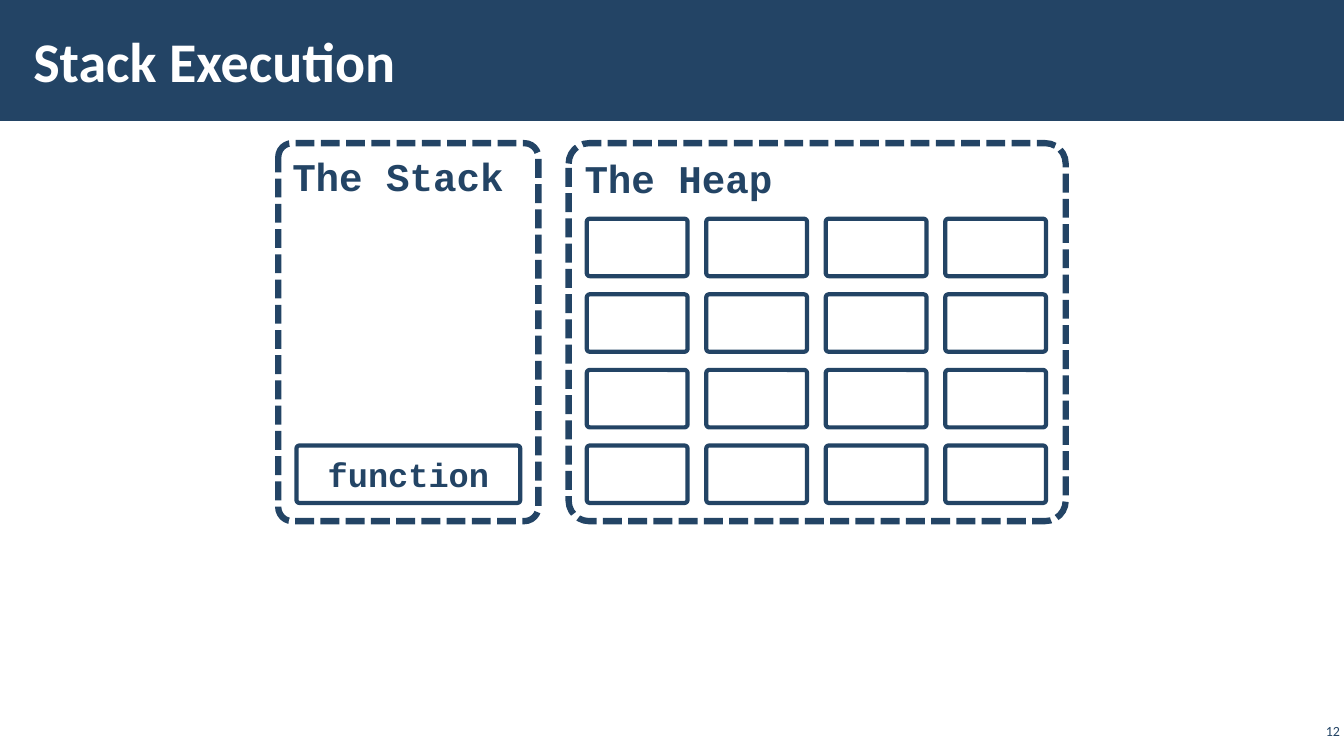
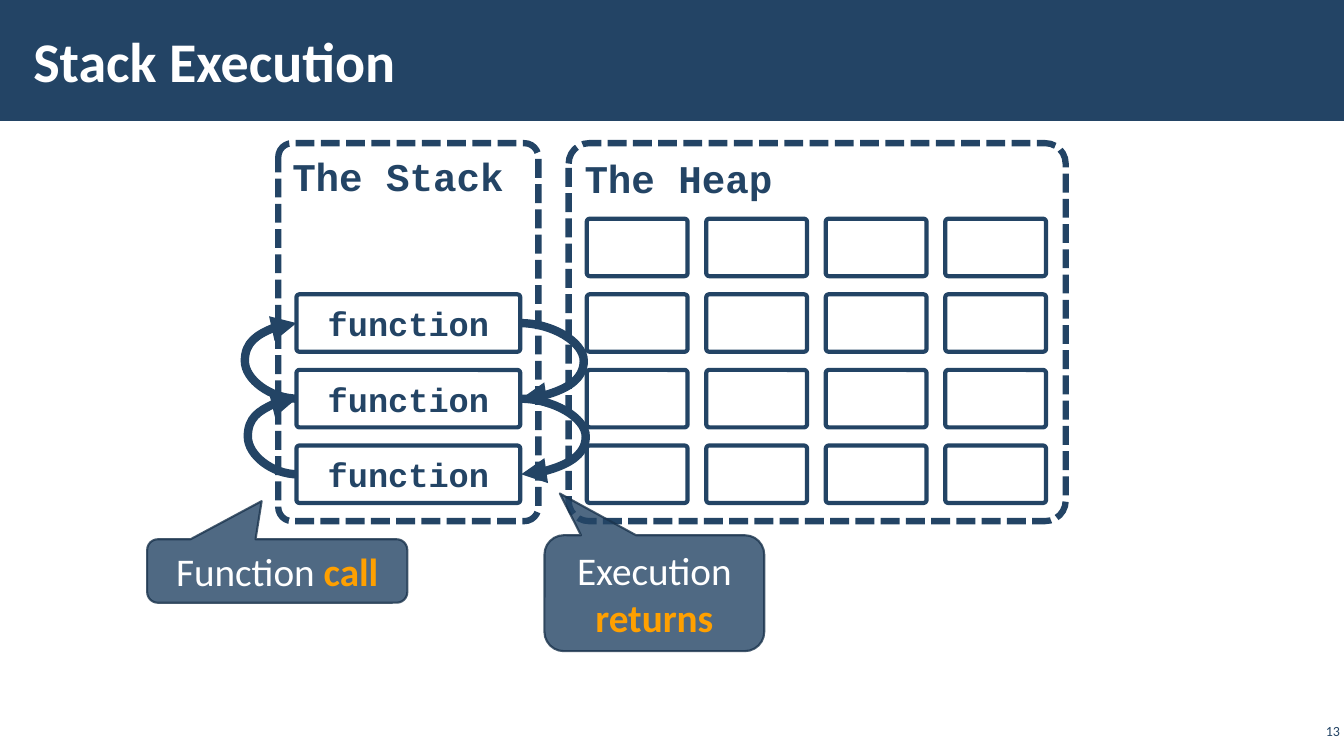
from dataclasses import dataclass
from itertools import product

from lxml.etree import SubElement
from pptx import Presentation
from pptx.dml.color import RGBColor
from pptx.enum.dml import MSO_LINE_DASH_STYLE as Dash
from pptx.enum.shapes import MSO_CONNECTOR as Connector, MSO_SHAPE as Shape
from pptx.enum.text import MSO_ANCHOR as Anchor, PP_ALIGN as Align
from pptx.oxml.ns import qn
from pptx.util import Inches, Pt


@dataclass(frozen=True)
class Theme:
    navy: str = "234465"
    edge: str = "1A334C"
    white: str = "FFFFFF"
    accent: str = "FFA000"
    sans: str = "Calibri"
    mono: str = "Courier New"
    title: int = 40
    heading: int = 28
    label: int = 24
    number: int = 10
    opacity: int = 80


THEME = Theme()
WIDTH, HEIGHT = 13.33, 7.5
ROW_TOP, ROW_STEP, ROWS = 2.17, 0.75, 4
BOX_HEIGHT = 0.57
HEAP_LEFT, HEAP_STEP, HEAP_COLUMNS = 5.82, 1.185, 4
FRAME_LEFT, FRAME_WIDTH = 2.94, 2.22
LEFT_SIDE, RIGHT_SIDE = 1, 3


def write(tf, text, size, color=THEME.navy, font=THEME.sans, bold=False,
          align=Align.LEFT, anchor=Anchor.MIDDLE, insets=(0.1, 0.05), accent=""):
    tf.word_wrap = True
    tf.vertical_anchor = anchor
    tf.margin_left = tf.margin_right = Inches(insets[0])
    tf.margin_top = tf.margin_bottom = Inches(insets[1])
    p = tf.paragraphs[0]
    p.alignment = align
    for part, part_color, part_bold in ((text, color, bold), (accent, THEME.accent, True)):
        if part:
            r = p.add_run()
            r.text = part
            r.font.name = font
            r.font.size = Pt(size)
            r.font.bold = part_bold
            r.font.color.rgb = RGBColor.from_string(part_color)


def set_opacity(sp, percent):
    for color in sp.element.spPr.iter(qn("a:srgbClr")):
        SubElement(color, qn("a:alpha")).set("val", str(percent * 1000))


class Deck:
    def __init__(self, theme):
        self.theme = theme
        self.prs = Presentation()
        self.prs.slide_width = Inches(WIDTH)
        self.prs.slide_height = Inches(HEIGHT)
        self.s = None

    def slide(self, title, number):
        t = self.theme
        self.s = self.prs.slides.add_slide(self.prs.slide_layouts[6])
        self.shape(Shape.RECTANGLE, (0, 0, WIDTH, 1.2), fill=t.navy)
        self.text((0.21, 0.11, 10.39, 0.97), title, size=t.title, color=t.white,
                  bold=True, insets=(0.12, 0.04))
        self.text((12.86, 7.14, 0.47, 0.22), str(number), size=t.number,
                  align=Align.RIGHT, insets=(0.04, 0.04))

    def text(self, at, text, **fmt):
        tb = self.s.shapes.add_textbox(*map(Inches, at))
        write(tb.text_frame, text, **fmt)

    def shape(self, kind, at, adjust=(), fill=None, line=None, weight=0):
        sp = self.s.shapes.add_shape(kind, *map(Inches, at))
        sp.shadow.inherit = False
        for i, value in enumerate(adjust):
            sp.adjustments[i] = value
        if fill:
            sp.fill.solid()
            sp.fill.fore_color.rgb = RGBColor.from_string(fill)
        else:
            sp.fill.background()
        if line:
            sp.line.color.rgb = RGBColor.from_string(line)
            sp.line.width = Pt(weight)
        else:
            sp.line.fill.background()
        return sp

    def panel(self, left, width, heading):
        t = self.theme
        sp = self.shape(Shape.ROUNDED_RECTANGLE, (left, 1.42, width, 3.75), (0.054,),
                        line=t.navy, weight=4.5)
        sp.line.dash_style = Dash.SQUARE_DOT
        write(sp.text_frame, heading, size=t.heading, font=t.mono, bold=True,
              anchor=Anchor.TOP)

    def box(self, left, row, width, label=""):
        t = self.theme
        sp = self.shape(Shape.ROUNDED_RECTANGLE,
                        (left, ROW_TOP + row * ROW_STEP, width, BOX_HEIGHT),
                        (0.053,), line=t.navy, weight=3)
        if label:
            write(sp.text_frame, label, size=t.label, font=t.mono, bold=True,
                  align=Align.CENTER)
        return sp

    def memory(self, calls):
        self.panel(2.76, 2.58, "The Stack")
        self.panel(5.64, 4.93, "The Heap")
        for row, column in product(range(ROWS), range(HEAP_COLUMNS)):
            self.box(HEAP_LEFT + column * HEAP_STEP, row, 1)
        return [self.box(FRAME_LEFT, ROWS - 1 - i, FRAME_WIDTH, "function")
                for i in range(calls)]

    def callout(self, at, pointer, text, accent):
        t = self.theme
        sp = self.shape(Shape.ROUNDED_RECTANGULAR_CALLOUT, at, (*pointer, 0.167),
                        fill=t.navy, line=t.edge, weight=1.5)
        set_opacity(sp, t.opacity)
        write(sp.text_frame, text, size=t.heading, color=t.white, align=Align.CENTER,
              insets=(0.2, 0.05), accent=accent)

    def arc(self, start, end, side, bulge):
        span = 0.01
        c = self.s.shapes.add_connector(Connector.CURVE, 0, 0, 0, 0)
        c.begin_connect(start, side)
        c.end_connect(end, side)
        c.width = Inches(span)
        c.line.color.rgb = RGBColor.from_string(self.theme.navy)
        c.line.width = Pt(6)
        spPr = c.element.spPr
        xfrm = spPr.find(qn("a:xfrm"))
        xfrm.attrib.clear()
        if side == LEFT_SIDE:
            xfrm.set("rot", "10800000")
        guide = SubElement(spPr.find(qn("a:prstGeom")).find(qn("a:avLst")), qn("a:gd"))
        guide.set("name", "adj1")
        guide.set("fmla", f"val {round(bulge / span * 100000)}")
        SubElement(spPr.find(qn("a:ln")), qn("a:tailEnd")).set("type", "triangle")
        SubElement(spPr, qn("a:effectLst"))


def main():
    deck = Deck(THEME)

    deck.slide("Stack Execution", 12)
    deck.memory(calls=1)

    deck.slide("Stack Execution", 13)
    first, second, third = deck.memory(calls=3)
    deck.callout((1.46, 5.35, 2.58, 0.63), (-0.06, -1.1), "Function ", "call")
    deck.arc(first, second, LEFT_SIDE, 0.5)
    deck.arc(second, third, LEFT_SIDE, 0.53)
    deck.callout((5.4, 5.31, 2.18, 1.15), (-0.43, -0.86), "Execution ", "returns")
    deck.arc(third, second, RIGHT_SIDE, 0.64)
    deck.arc(second, first, RIGHT_SIDE, 0.66)

    deck.prs.save("out.pptx")


if __name__ == "__main__":
    main()
